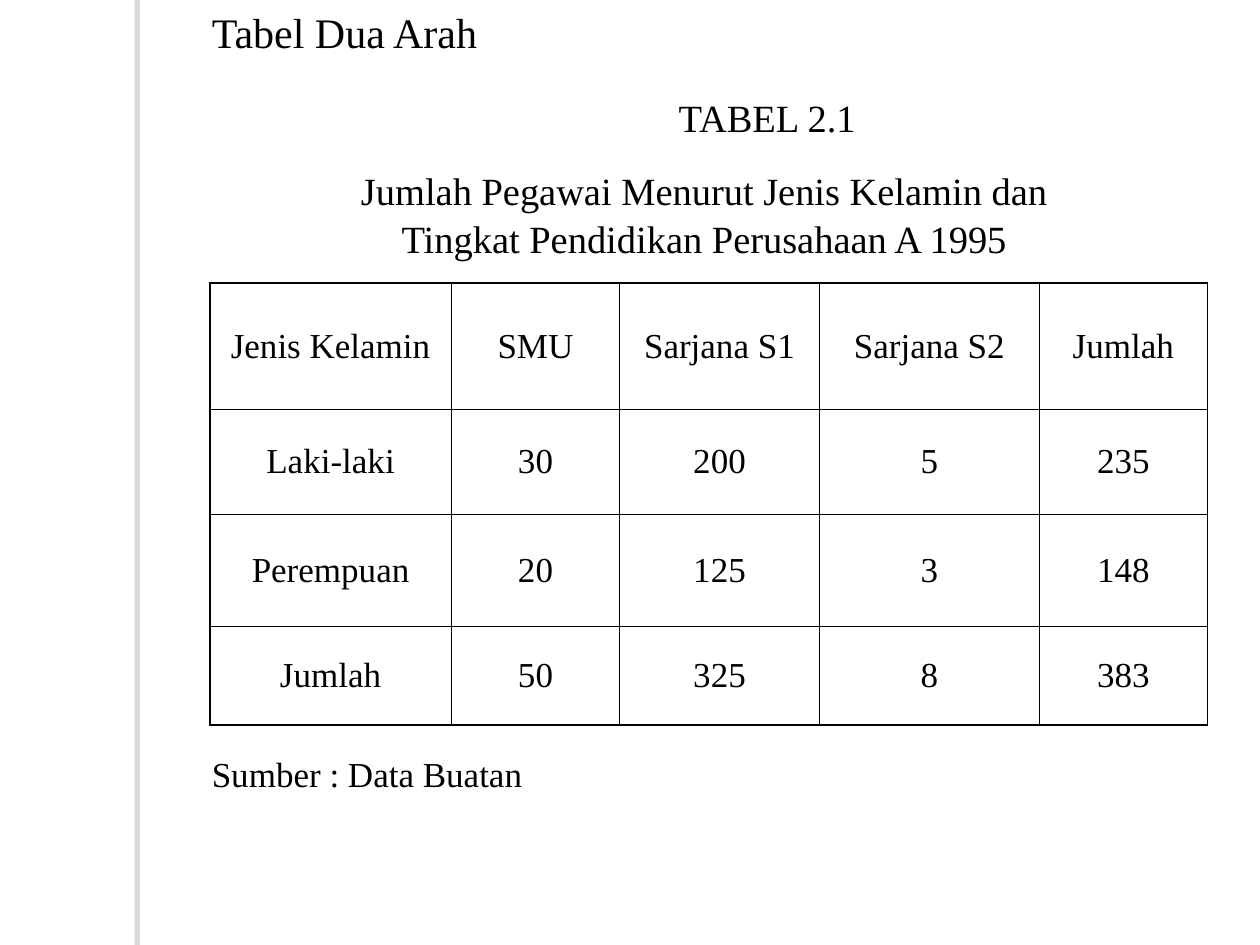
import dataclasses
import lxml.etree
import pptx
import pptx.dml.color
import pptx.enum.shapes
import pptx.enum.text
import pptx.oxml.ns
import pptx.util

Cm, Pt = pptx.util.Cm, pptx.util.Pt
ALIGN = pptx.enum.text.PP_ALIGN
ANCHOR = pptx.enum.text.MSO_ANCHOR
qn = pptx.oxml.ns.qn


@dataclasses.dataclass(frozen=True)
class Theme:
    font: str = "Times New Roman"
    ink: str = "000000"
    paper: str = "FFFFFF"
    shade: str = "706B5F"
    title: int = 24
    caption: int = 22
    body: int = 20
    frame: float = 1.08
    rule: float = 0.45


THEME = Theme()
HEADER = ["Jenis Kelamin", "SMU", "Sarjana S1", "Sarjana S2", "Jumlah"]
COUNTS = [["Laki-laki", 30, 200, 5], ["Perempuan", 20, 125, 3]]


def rgb(value):
    return pptx.dml.color.RGBColor.from_string(value)


def apply(obj, formats):
    for name, value in formats.items():
        setattr(obj, name, value)


def put_text(p, text, size, align=ALIGN.LEFT):
    p.alignment = align
    r = p.add_run()
    r.text = str(text)
    apply(r.font, {"name": THEME.font, "size": Pt(size), "bold": False})
    r.font.color.rgb = rgb(THEME.ink)


def format_frame(tf):
    apply(tf, {
        "word_wrap": True,
        "auto_size": pptx.enum.text.MSO_AUTO_SIZE.SHAPE_TO_FIT_TEXT,
        "vertical_anchor": ANCHOR.TOP,
        "margin_left": Cm(0.25), "margin_right": Cm(0.25),
        "margin_top": Cm(0.13), "margin_bottom": Cm(0.13),
    })


def add_text_box(s, box):
    tf = s.shapes.add_textbox(*map(Cm, box)).text_frame
    format_frame(tf)
    return tf


def add_side_bar(s, box):
    sp = s.shapes.add_shape(pptx.enum.shapes.MSO_SHAPE.RECTANGLE, *map(Cm, box))
    sp.fill.solid()
    sp.fill.fore_color.rgb = rgb(THEME.paper)
    sp.line.fill.background()
    effects = lxml.etree.SubElement(sp._element.spPr, qn("a:effectLst"))
    shadow = lxml.etree.SubElement(effects, qn("a:outerShdw"), blurRad="0",
                                   dist=str(Pt(3)), dir="10800000")
    color = lxml.etree.SubElement(shadow, qn("a:srgbClr"), val=THEME.shade)
    lxml.etree.SubElement(color, qn("a:alpha"), val="25000")


def add_title(s, box):
    sp = s.shapes.title
    apply(sp, dict(zip(("left", "top", "width", "height"), map(Cm, box))))
    format_frame(sp.text_frame)
    put_text(sp.text_frame.paragraphs[0], "Tabel Dua Arah", THEME.title)


def add_caption(s, box):
    tf = add_text_box(s, box)
    p = tf.paragraphs[0]
    put_text(p, "TABEL 2.1", THEME.caption, ALIGN.CENTER)
    p._p.get_or_add_pPr().set("marL", str(Cm(2.54)))
    p = tf.add_paragraph()
    put_text(p, "Jumlah Pegawai Menurut Jenis Kelamin dan "
                "Tingkat Pendidikan Perusahaan A 1995", THEME.caption, ALIGN.CENTER)
    apply(p, {"space_before": Pt(14), "line_spacing": 1.04})


def set_border(cell, side, width):
    ln = lxml.etree.SubElement(cell._tc.get_or_add_tcPr(), qn("a:ln" + side),
                               w=str(Pt(width)))
    fill = lxml.etree.SubElement(ln, qn("a:solidFill"))
    lxml.etree.SubElement(fill, qn("a:srgbClr"), val=THEME.ink)


def format_cell(cell, outer):
    for side in "LRTB":
        set_border(cell, side, THEME.frame if side in outer else THEME.rule)
    cell.fill.background()
    apply(cell, {"vertical_anchor": ANCHOR.MIDDLE,
                 "margin_left": Cm(0.25), "margin_right": Cm(0.25)})


def add_count_table(s, box, widths, heights):
    rows = [[name, *counts, sum(counts)] for name, *counts in COUNTS]
    totals = [sum(column) for column in list(zip(*rows))[1:]]
    rows = [HEADER, *rows, ["Jumlah", *totals]]
    table = s.shapes.add_table(len(rows), len(HEADER), *map(Cm, box)).table
    apply(table, {"first_row": False, "horz_banding": False})
    for column, width in zip(table.columns, widths):
        column.width = Cm(width)
    for row, height in zip(table.rows, heights):
        row.height = Cm(height)
    for i, values in enumerate(rows):
        for j, value in enumerate(values):
            cell = table.cell(i, j)
            edges = {"L": j == 0, "R": j == len(HEADER) - 1,
                     "T": i == 0, "B": i == len(rows) - 1}
            format_cell(cell, [side for side, outer in edges.items() if outer])
            put_text(cell.text_frame.paragraphs[0], value, THEME.body, ALIGN.CENTER)


def add_source_note(s, box):
    tf = add_text_box(s, box)
    put_text(tf.paragraphs[0], "Sumber : Data Buatan", THEME.body)


def main():
    prs = pptx.Presentation()
    apply(prs, {"slide_width": Cm(25.4), "slide_height": Cm(19.05)})
    s = prs.slides.add_slide(prs.slide_layouts[5])
    s.background.fill.solid()
    s.background.fill.fore_color.rgb = rgb(THEME.paper)
    widths = [4.87, 3.39, 4.03, 4.43, 3.39]
    heights = [2.54, 2.12, 2.26, 1.98]
    add_side_bar(s, (2.82, 0, 0.2, 19.05))
    add_title(s, (4.02, 0, 9.1, 1.27))
    add_caption(s, (6.15, 1.77, 16.09, 3.6))
    add_count_table(s, (4.23, 5.71, sum(widths), sum(heights)), widths, heights)
    add_source_note(s, (4.02, 15.03, 10.16, 1.12))
    prs.save("out.pptx")


if __name__ == "__main__":
    main()
